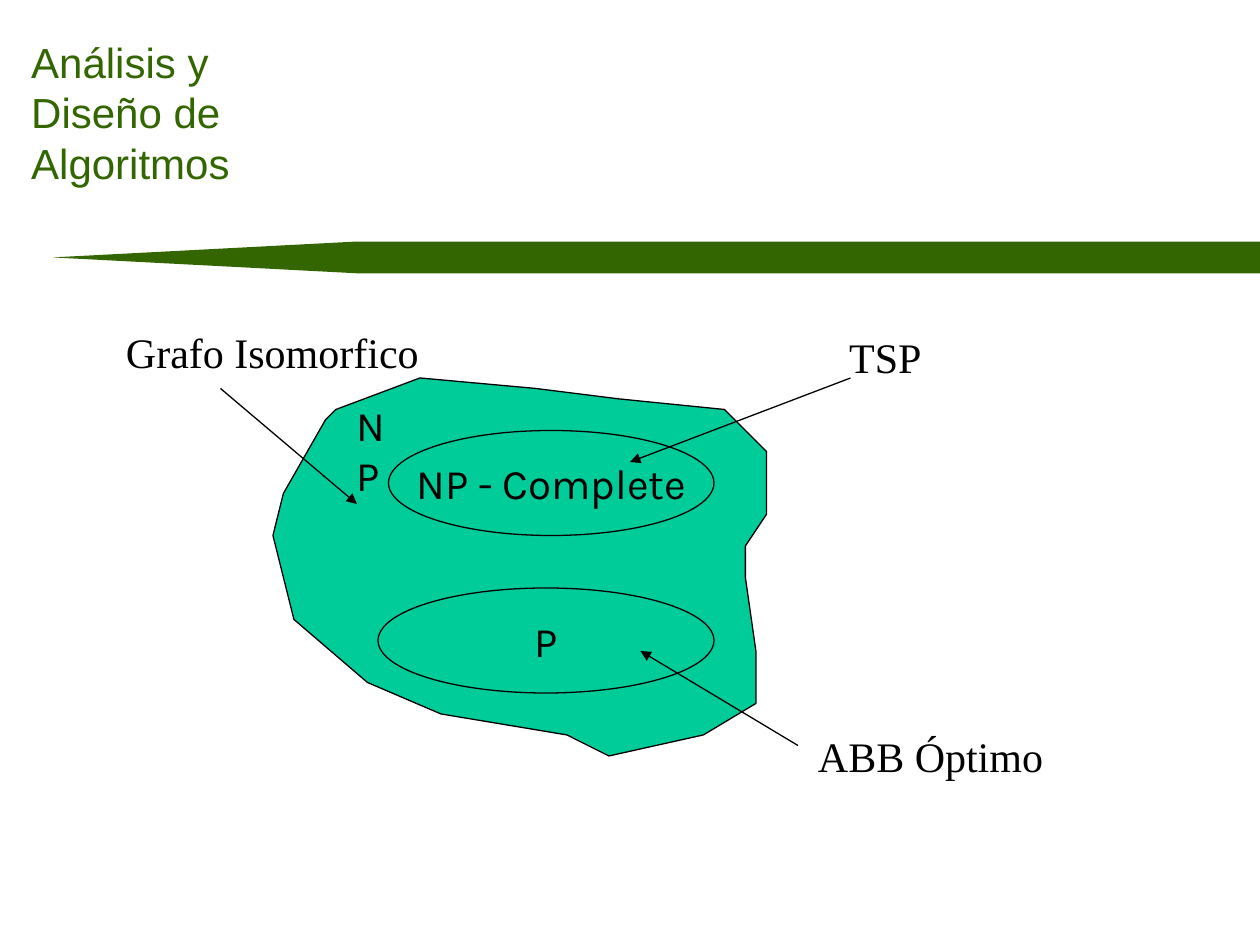
from lxml import etree
from pptx import Presentation
from pptx.dml.color import RGBColor
from pptx.enum.shapes import MSO_CONNECTOR, MSO_SHAPE
from pptx.enum.text import MSO_ANCHOR, PP_ALIGN
from pptx.oxml.ns import qn
from pptx.util import Cm, Pt

GREEN = RGBColor(0x33, 0x66, 0x00)
TEAL = RGBColor(0x00, 0xCC, 0x99)
BLACK = RGBColor(0x00, 0x00, 0x00)

GRID = Cm(2.54) / 12
OUTLINE_WIDTH = Pt(0.75)

NP_OUTLINE = [
    (31, 40), (27, 47), (26, 51), (27, 55), (28, 59), (35, 65), (42, 68),
    (54, 70), (58, 72), (67, 70), (72, 67), (72, 62), (71, 55), (71, 52),
    (73, 49), (73, 43), (69, 39), (59, 38), (51, 37), (40, 36), (32, 39),
]
PROBLEM_CLASSES = [
    ("NP - Complete", (37, 41, 31, 10)),
    ("P", (36, 56, 32, 10)),
]
EXAMPLES = [
    ("Grafo Isomorfico", (2.29, 6.46, 6.8), (21, 37), (34, 48)),
    ("ABB Óptimo", (16.24, 14.6, 5.3), (76, 71), (61, 62)),
    ("TSP", (16.87, 6.55, 2.2), (81, 36), (60, 44)),
]


def on_grid(*steps):
    return [round(step * GRID) for step in steps]


def apply_format(target, values):
    for attribute, value in values.items():
        setattr(target, attribute, value)


def write(frame, lines, font_name, color=BLACK, frame_format=None, alignment=PP_ALIGN.LEFT):
    frame.text = "\n".join(lines)
    apply_format(frame, frame_format or {})
    for paragraph in frame.paragraphs:
        paragraph.alignment = alignment
        apply_format(paragraph.font, {"name": font_name, "size": Pt(24)})
        paragraph.font.color.rgb = color


def paint(region, fill, outline=None):
    region.shadow.inherit = False
    region.fill.solid()
    region.fill.fore_color.rgb = fill
    if outline is None:
        region.line.fill.background()
    else:
        region.line.color.rgb = outline
        region.line.width = OUTLINE_WIDTH


def add_label(slide, lines, box, font_name, color=BLACK):
    label = slide.shapes.add_textbox(*map(Cm, box))
    write(label.text_frame, lines, font_name, color, {"word_wrap": True})


def add_banner(slide):
    banner = slide.shapes.add_shape(
        MSO_SHAPE.PENTAGON, Cm(1.06), Cm(4.87), Cm(24.34), Cm(0.64))
    banner.adjustments[0] = 9.58
    banner.element.spPr.find(qn("a:xfrm")).set("flipH", "1")
    paint(banner, GREEN)


def add_np_region(slide):
    start, *corners = NP_OUTLINE
    builder = slide.shapes.build_freeform(*start, scale=GRID)
    builder.add_line_segments(corners, close=True)
    paint(builder.convert_to_shape(), TEAL, BLACK)


def add_problem_class(slide, name, box):
    ellipse = slide.shapes.add_shape(MSO_SHAPE.OVAL, *on_grid(*box))
    paint(ellipse, TEAL, BLACK)
    write(ellipse.text_frame, [name], "Karla",
          frame_format={"word_wrap": False, "vertical_anchor": MSO_ANCHOR.MIDDLE},
          alignment=PP_ALIGN.CENTER)


def add_arrow(slide, start, end):
    arrow = slide.shapes.add_connector(
        MSO_CONNECTOR.STRAIGHT, *on_grid(*start, *end))
    arrow.line.color.rgb = BLACK
    arrow.line.width = OUTLINE_WIDTH
    properties = arrow.element.spPr
    etree.SubElement(properties.find(qn("a:ln")), qn("a:tailEnd"), type="triangle")
    etree.SubElement(properties, qn("a:effectLst"))


def main():
    deck = Presentation()
    apply_format(deck, {"slide_width": Cm(25.4), "slide_height": Cm(19.05)})
    slide = deck.slides.add_slide(deck.slide_layouts[6])

    add_banner(slide)
    add_label(slide, ["Análisis y", "Diseño de", "Algoritmos"],
              (0.38, 0.61, 5.77, 3.3), "Arial", GREEN)
    add_np_region(slide)
    for name, box in PROBLEM_CLASSES:
        add_problem_class(slide, name, box)
    add_label(slide, ["NP"], (6.93, 7.92, 1.5, 1.27), "Karla")
    for name, (left, top, width), start, end in EXAMPLES:
        add_label(slide, [name], (left, top, width, 1.27), "Times New Roman")
        add_arrow(slide, start, end)

    deck.save("out.pptx")


if __name__ == "__main__":
    main()
